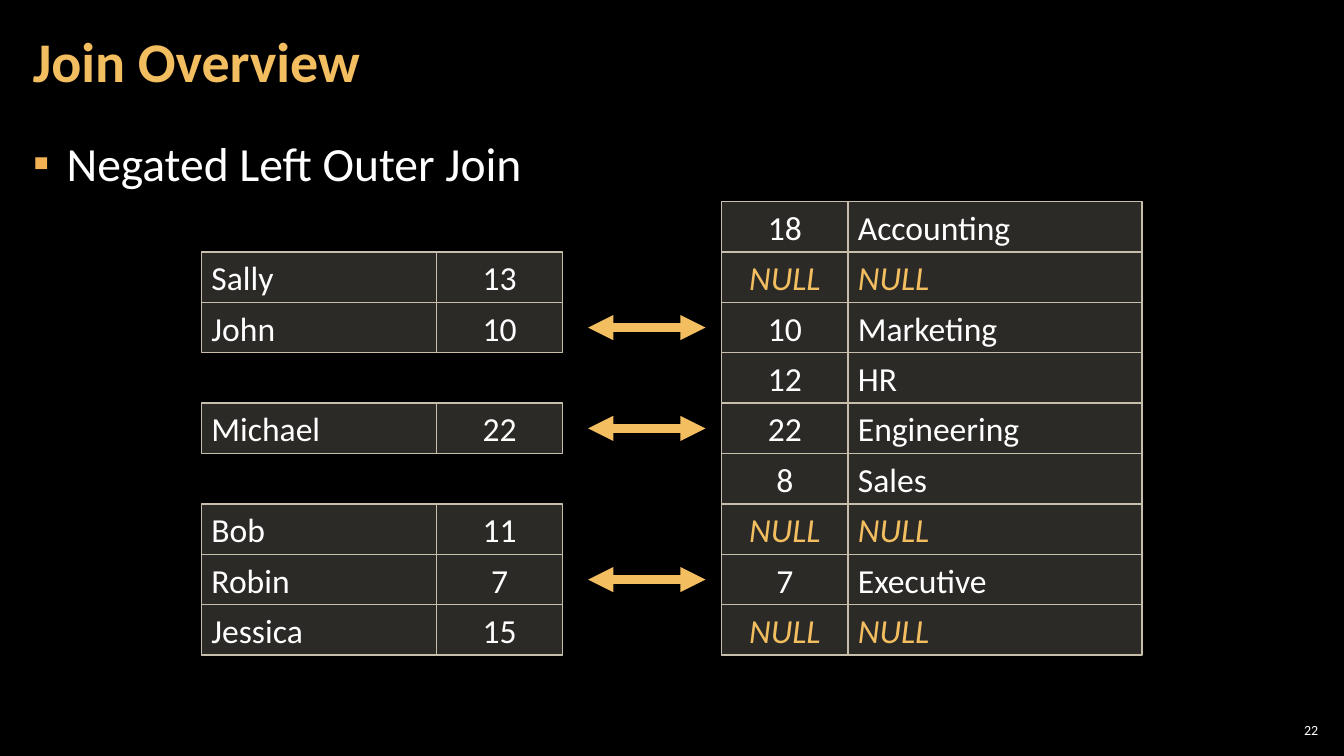
from typing import NamedTuple, Optional

from lxml import etree
from pptx import Presentation
from pptx import util as u
from pptx.dml.color import RGBColor
from pptx.enum import shapes, text
from pptx.oxml import ns

FONT = "Calibri"
WHITE, GOLD, BULLET = "FFFFFF", "F3BE60", "F2B254"
CELL_FILL, CELL_LINE = "D9D5C7", "C7BFAC"

# Grid, in centimetres
ROW_TOP, ROW_HEIGHT = 5.08, 1.27
EMPLOYEE_LEFT, EMPLOYEE_WIDTH = 5.08, 5.92
KEY_WIDTH = 3.18
DEPARTMENT_LEFT, DEPARTMENT_WIDTH = 18.19, 7.41
ARROW_LEFT, ARROW_RIGHT = 14.82, 17.78


class JoinRow(NamedTuple):
    employee: Optional[str]
    employee_key: Optional[str]
    department_key: str
    department: str
    matched: bool = False


class Label(NamedTuple):
    content: str
    left: float
    top: float
    width: float
    height: float
    size: float
    color: str = WHITE
    bold: bool = False
    align: text.PP_ALIGN = text.PP_ALIGN.LEFT
    anchor: text.MSO_ANCHOR = text.MSO_ANCHOR.MIDDLE
    inset: float = 0.3
    line_spacing: float = 1.0
    bullet: bool = False


JOIN_ROWS = [
    JoinRow(None, None, "18", "Accounting"),
    JoinRow("Sally", "13", "NULL", "NULL"),
    JoinRow("John", "10", "10", "Marketing", matched=True),
    JoinRow(None, None, "12", "HR"),
    JoinRow("Michael", "22", "22", "Engineering", matched=True),
    JoinRow(None, None, "8", "Sales"),
    JoinRow("Bob", "11", "NULL", "NULL"),
    JoinRow("Robin", "7", "7", "Executive", matched=True),
    JoinRow("Jessica", "15", "NULL", "NULL"),
]

LABELS = [
    Label("Join Overview", 0.53, 0.1, 26.6, 3.07, 40, GOLD, bold=True, line_spacing=0.9),
    Label("Negated Left Outer Join", 0.53, 3.2, 32.8, 15.47, 34,
          anchor=text.MSO_ANCHOR.TOP, line_spacing=1.05, bullet=True),
    Label("22", 32.13, 18.14, 1.19, 0.53, 10, align=text.PP_ALIGN.RIGHT, inset=0.1),
]


def rgb(value: str) -> RGBColor:
    return RGBColor.from_string(value)


def add_run(paragraph, content: str, size: float, color: str,
            bold: bool = False, italic: bool = False) -> None:
    run = paragraph.add_run()
    run.text = content
    run.font.name = FONT
    run.font.size = u.Pt(size)
    run.font.color.rgb = rgb(color)
    run.font.bold = bold
    run.font.italic = italic


def add_bullet(paragraph) -> None:
    properties = paragraph._p.get_or_add_pPr()
    properties.set("marL", str(u.Cm(0.85)))
    properties.set("indent", str(u.Cm(-0.85)))
    color = etree.SubElement(properties, ns.qn("a:buClr"))
    etree.SubElement(color, ns.qn("a:srgbClr"), val=BULLET)
    etree.SubElement(properties, ns.qn("a:buFont"), typeface="Arial")
    etree.SubElement(properties, ns.qn("a:buChar"), char="▪")


def add_label(slide, label: Label) -> None:
    box = slide.shapes.add_textbox(u.Cm(label.left), u.Cm(label.top),
                                   u.Cm(label.width), u.Cm(label.height))
    frame = box.text_frame
    frame.word_wrap = True
    frame.vertical_anchor = label.anchor
    frame.margin_left = frame.margin_right = u.Cm(label.inset)
    frame.margin_top = frame.margin_bottom = u.Cm(0.1)
    paragraph = frame.paragraphs[0]
    if label.bullet:
        add_bullet(paragraph)
    paragraph.alignment = label.align
    paragraph.line_spacing = label.line_spacing
    add_run(paragraph, label.content, label.size, label.color, label.bold)


def add_cell(slide, content: str, left: float, top: float, width: float,
             centered: bool = False) -> None:
    shape = slide.shapes.add_shape(shapes.MSO_SHAPE.RECTANGLE, u.Cm(left), u.Cm(top),
                                   u.Cm(width), u.Cm(ROW_HEIGHT))
    shape.shadow.inherit = False
    shape.fill.solid()
    shape.fill.fore_color.rgb = rgb(CELL_FILL)
    fill_color = shape.fill._xPr.find(".//" + ns.qn("a:srgbClr"))
    etree.SubElement(fill_color, ns.qn("a:alpha"), val="20000")
    shape.line.color.rgb = rgb(CELL_LINE)
    shape.line.width = u.Pt(1)
    shape.text_frame.word_wrap = True
    shape.text_frame.vertical_anchor = text.MSO_ANCHOR.MIDDLE
    paragraph = shape.text_frame.paragraphs[0]
    paragraph.alignment = text.PP_ALIGN.CENTER if centered else text.PP_ALIGN.LEFT
    missing = content == "NULL"
    add_run(paragraph, content, 24, GOLD if missing else WHITE, italic=missing)


def add_match_arrow(slide, height: float) -> None:
    arrow = slide.shapes.add_connector(shapes.MSO_CONNECTOR.STRAIGHT, u.Cm(ARROW_LEFT),
                                       u.Cm(height), u.Cm(ARROW_RIGHT), u.Cm(height))
    arrow.line.color.rgb = rgb(GOLD)
    arrow.line.width = u.Pt(6)
    line = arrow.line._get_or_add_ln()
    for end in ("a:headEnd", "a:tailEnd"):
        etree.SubElement(line, ns.qn(end), type="triangle")
    etree.SubElement(arrow._element.spPr, ns.qn("a:effectLst"))


def add_join_row(slide, index: int, row: JoinRow) -> None:
    top = ROW_TOP + index * ROW_HEIGHT
    if row.employee:
        add_cell(slide, row.employee, EMPLOYEE_LEFT, top, EMPLOYEE_WIDTH)
        add_cell(slide, row.employee_key, EMPLOYEE_LEFT + EMPLOYEE_WIDTH, top,
                 KEY_WIDTH, centered=True)
    add_cell(slide, row.department_key, DEPARTMENT_LEFT, top, KEY_WIDTH, centered=True)
    add_cell(slide, row.department, DEPARTMENT_LEFT + KEY_WIDTH, top, DEPARTMENT_WIDTH)
    if row.matched:
        add_match_arrow(slide, top + ROW_HEIGHT / 2)


def main() -> None:
    presentation = Presentation()
    presentation.slide_width, presentation.slide_height = u.Cm(33.87), u.Cm(19.05)
    slide = presentation.slides.add_slide(presentation.slide_layouts[6])
    slide.background.fill.solid()
    slide.background.fill.fore_color.rgb = rgb("000000")

    # Title, bullet and slide number
    for label in LABELS:
        add_label(slide, label)

    # Joined rows with arrows between matching keys
    for index, row in enumerate(JOIN_ROWS):
        add_join_row(slide, index, row)

    presentation.save("out.pptx")


if __name__ == "__main__":
    main()
